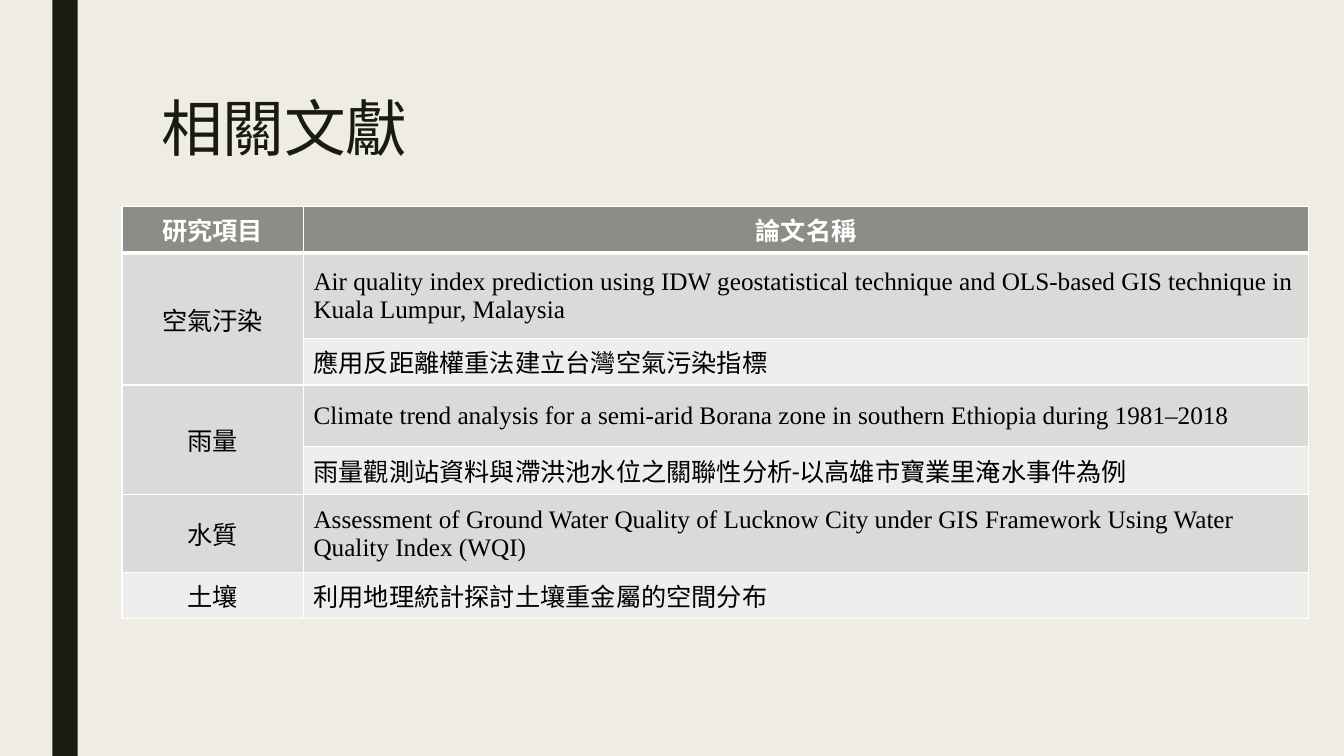
"""Build the related-literature slide with its table of research topics and papers."""
import pptx
import pptx.dml.color
import pptx.enum.shapes
import pptx.enum.text
import pptx.oxml
import pptx.oxml.ns
import pptx.util

RGB = pptx.dml.color.RGBColor
Inches, Pt = pptx.util.Inches, pptx.util.Pt
ALIGN, ANCHOR = pptx.enum.text.PP_ALIGN, pptx.enum.text.MSO_ANCHOR

CREAM = RGB(0xEF, 0xED, 0xE3)
INK = RGB(0x19, 0x1B, 0x0E)
BLACK = RGB(0, 0, 0)
WHITE = RGB(0xFF, 0xFF, 0xFF)
HEADER_GREY = RGB(0x8C, 0x8D, 0x86)
BANDS = (RGB(0xEE, 0xEE, 0xED), RGB(0xDA, 0xDB, 0xD9))

CJK, SANS, SERIF = "Noto Sans CJK SC", "Roboto", "Times New Roman"
TITLE = "相關文獻"
HEADINGS = ("研究項目", "論文名稱")
LITERATURE = [
    ("空氣汙染", [
        "Air quality index prediction using IDW geostatistical technique and "
        "OLS-based GIS technique in Kuala Lumpur, Malaysia",
        "應用反距離權重法建立台灣空氣污染指標"]),
    ("雨量", [
        "Climate trend analysis for a semi-arid Borana zone in southern Ethiopia during 1981–2018",
        "雨量觀測站資料與滯洪池水位之關聯性分析-以高雄市寶業里淹水事件為例"]),
    ("水質", [
        "Assessment of Ground Water Quality of Lucknow City under GIS Framework "
        "Using Water Quality Index (WQI)"]),
    ("土壤", ["利用地理統計探討土壤重金屬的空間分布"]),
]
COLUMNS = (1.8, 9.97)
ROWS = (0.46, 0.85, 0.46, 0.61, 0.48, 0.77, 0.46)


def style(paragraph, size, font, color, bold=False):
    for run in paragraph.runs:
        run.font.size, run.font.name, run.font.bold = Pt(size), font, bold
        run.font.color.rgb = color
        latin = run.font._element.find(pptx.oxml.ns.qn("a:latin"))
        latin.addnext(pptx.oxml.parse_xml(
            f'<a:ea {pptx.oxml.ns.nsdecls("a")} typeface="{CJK}"/>'))


def add_borders(cell, top, bottom):
    properties = cell._tc.get_or_add_tcPr()
    for index, (side, width) in enumerate((("L", 1), ("R", 1), ("T", top), ("B", bottom))):
        properties.insert(index, pptx.oxml.parse_xml(
            f'<a:ln{side} {pptx.oxml.ns.nsdecls("a")} w="{Pt(width)}">'
            f'<a:solidFill><a:srgbClr val="{WHITE}"/></a:solidFill></a:ln{side}>'))


def fill_cell(cell, text, font, color, align, anchor, bold=False):
    cell.text_frame.text = text
    cell.vertical_anchor = anchor
    paragraph = cell.text_frame.paragraphs[0]
    paragraph.alignment = align
    style(paragraph, 18, font, color, bold)


def add_literature(slide):
    table = slide.shapes.add_table(
        len(ROWS), len(COLUMNS), Inches(1.21), Inches(2.05),
        Inches(sum(COLUMNS)), Inches(sum(ROWS))).table
    for column, width in zip(table.columns, COLUMNS):
        column.width = Inches(width)
    for index, (row, height) in enumerate(zip(table.rows, ROWS)):
        row.height = Inches(height)
        for cell in row.cells:
            cell.fill.solid()
            cell.fill.fore_color.rgb = BANDS[index % 2] if index else HEADER_GREY
            add_borders(cell, 3 if index == 1 else 1, 3 if index == 0 else 1)
    for column, heading in enumerate(HEADINGS):
        fill_cell(table.cell(0, column), heading, SANS, WHITE, ALIGN.CENTER, ANCHOR.TOP, True)
    first = 1
    for topic, papers in LITERATURE:
        topic_cell = table.cell(first, 0)
        if len(papers) > 1:
            topic_cell.merge(table.cell(first + len(papers) - 1, 0))
        fill_cell(topic_cell, topic, SANS, BLACK, ALIGN.CENTER, ANCHOR.MIDDLE)
        for row, paper in enumerate(papers, first):
            font = SERIF if paper[0].isascii() else SANS
            fill_cell(table.cell(row, 1), paper, font, BLACK, ALIGN.LEFT, ANCHOR.MIDDLE)
        first += len(papers)


def main():
    deck = pptx.Presentation()
    deck.slide_width, deck.slide_height = Inches(13.33), Inches(7.5)
    slide = deck.slides.add_slide(deck.slide_layouts[6])
    slide.background.fill.solid()
    slide.background.fill.fore_color.rgb = CREAM

    stripe = slide.shapes.add_shape(
        pptx.enum.shapes.MSO_SHAPE.RECTANGLE, Inches(0.52), 0, Inches(0.25), deck.slide_height)
    stripe.shadow.inherit = False
    stripe.fill.solid()
    stripe.fill.fore_color.rgb = INK
    stripe.line.fill.background()

    title = slide.shapes.add_textbox(
        Inches(1.5), Inches(0.75), Inches(11.33), Inches(1.11)).text_frame
    title.word_wrap = True
    title.vertical_anchor = ANCHOR.MIDDLE
    title.text = TITLE
    title.paragraphs[0].line_spacing = 0.89
    style(title.paragraphs[0], 44, CJK, INK)

    add_literature(slide)
    deck.save("out.pptx")


if __name__ == "__main__":
    main()
